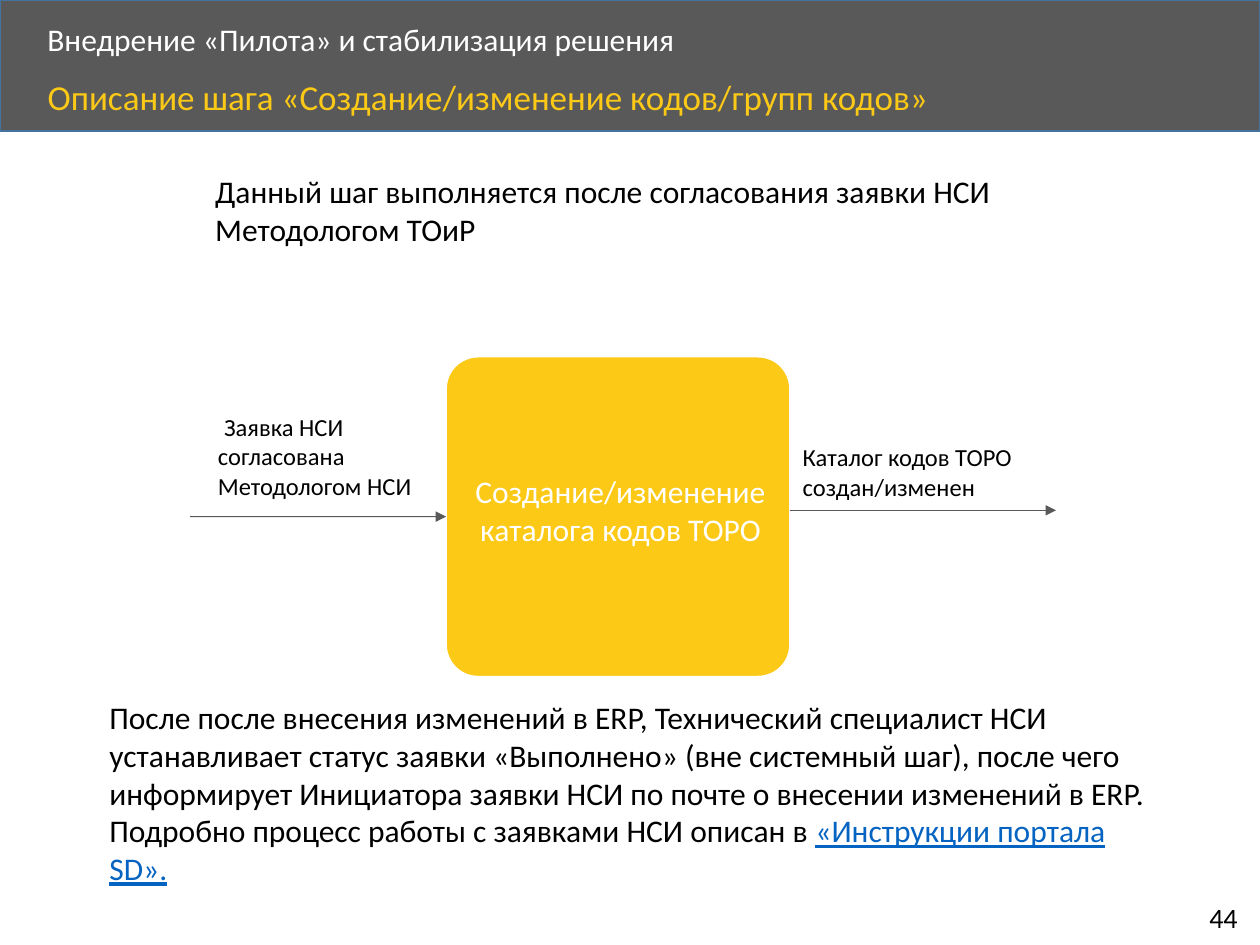
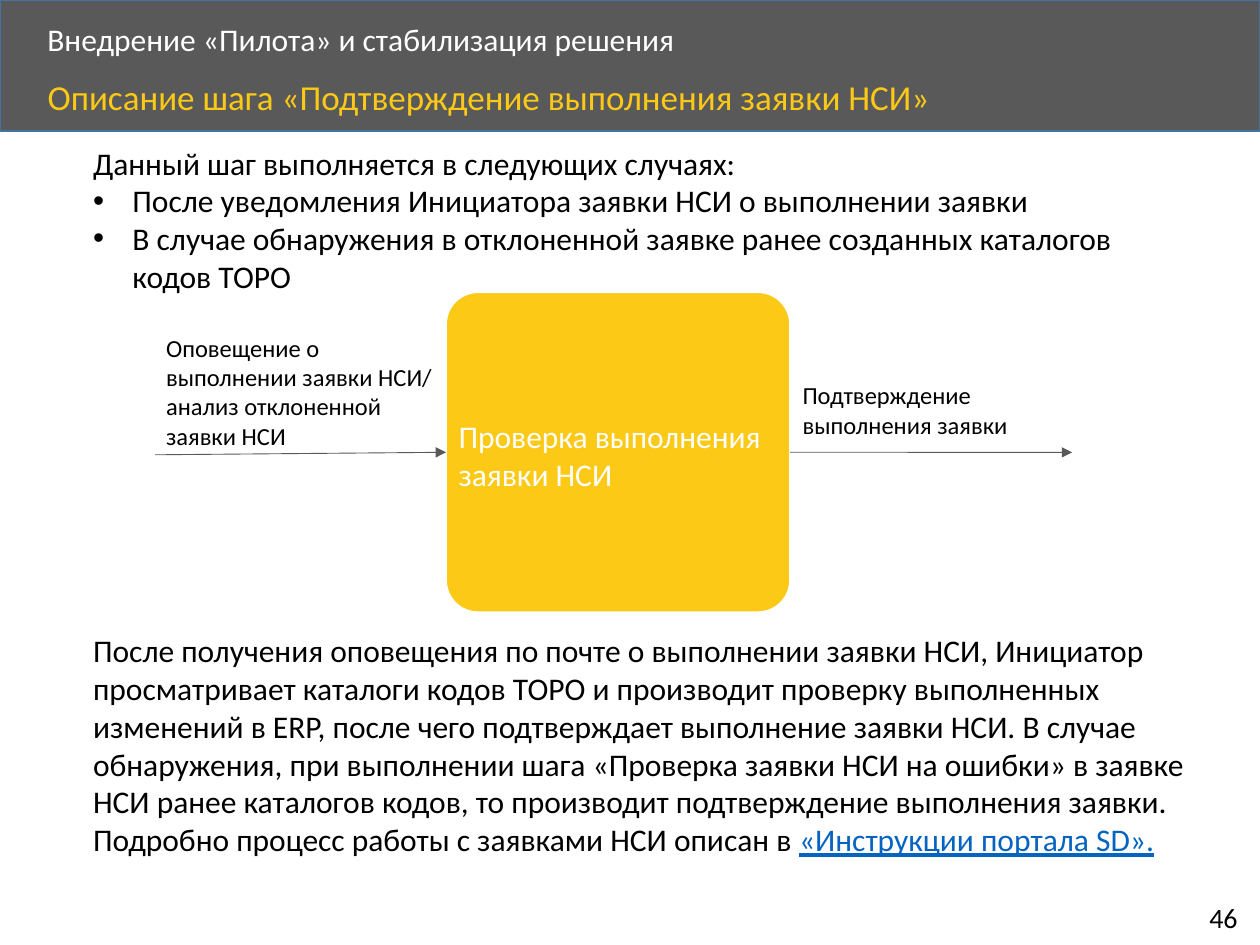
from typing import NamedTuple

import lxml.etree
import pptx
import pptx.dml.color
import pptx.enum.shapes
import pptx.enum.text
import pptx.oxml.ns
import pptx.util

Pt = pptx.util.Pt
qn = pptx.oxml.ns.qn
SHAPE = pptx.enum.shapes.MSO_SHAPE
ANCHOR = pptx.enum.text.MSO_ANCHOR
ALIGN = pptx.enum.text.PP_ALIGN
GROW = pptx.enum.text.MSO_AUTO_SIZE.SHAPE_TO_FIT_TEXT

COLORS = {
    "band": "595959",
    "band_line": "43739E",
    "accent": "FCC917",
    "white": "FFFFFF",
    "text": "000000",
    "link": "0563C1",
}
FONT = "Calibri"
HANGING = 22.5
SECTION = "Внедрение «Пилота» и стабилизация решения"
GUIDE = "«Инструкции портала SD»."
STEP_LEFT, STEP_WIDTH, STEP_HEIGHT = 254.9, 196.6, 182.9
STEP_RIGHT = STEP_LEFT + STEP_WIDTH


class Area(NamedTuple):
    left: float
    top: float
    width: float
    height: float


class Para(NamedTuple):
    text: str
    link: str = ""
    bullet: bool = False
    first_indent: float = 0


class Block(NamedTuple):
    area: Area
    paras: list[Para]
    size: float = 18


class Step(NamedTuple):
    text: str
    top: float
    align: ALIGN
    margins: dict[str, float]


class Arrow(NamedTuple):
    start: tuple[float, float]
    end: tuple[float, float]
    begin_site: int | None = None
    end_site: int | None = None


class Page(NamedTuple):
    title: str
    number: str
    step: Step
    arrows: list[Arrow]
    blocks: list[Block]


PAGES = [
    Page(
        "Описание шага «Создание/изменение кодов/групп кодов»",
        "44",
        Step("Создание/изменение каталога кодов ТОРО", 203.8, ALIGN.CENTER,
             {"left": 3.3, "right": 0.4, "top": 0, "bottom": 8}),
        [
            Arrow((108.7, 295.2), (STEP_LEFT, 295.2), end_site=1),
            Arrow((STEP_RIGHT, 291.6), (603.4, 291.6)),
        ],
        [
            Block(Area(117.4, 231.8, 129.6, 60.5),
                  [Para("Заявка НСИ согласована Методологом НСИ", first_indent=3.6)], 14),
            Block(Area(STEP_RIGHT, 249.1, 157.7, 41),
                  [Para("Каталог кодов ТОРО создан/изменен")], 14),
            Block(Area(115.9, 95, 517, 51.1),
                  [Para("Данный шаг выполняется после согласования заявки НСИ "
                        "Методологом ТОиР")]),
            Block(Area(55.4, 395.3, 612.7, 116.6),
                  [Para("После после внесения изменений в ERP, Технический специалист НСИ "
                        "устанавливает статус заявки «Выполнено» (вне системный шаг), после "
                        "чего информирует Инициатора заявки НСИ по почте о внесении изменений "
                        "в ERP. Подробно процесс работы c заявками НСИ описан в ", GUIDE)]),
        ],
    ),
    Page(
        "Описание шага «Подтверждение выполнения заявки НСИ»",
        "46",
        Step("Проверка выполнения заявки НСИ", 167, ALIGN.LEFT,
             {"left": 1.8, "right": 1.8, "top": 3, "bottom": 0}),
        [
            Arrow((STEP_RIGHT, 258.5), (612.7, 258.5), begin_site=3),
            Arrow((88.6, 259.9), (STEP_LEFT, 258.5), end_site=1),
        ],
        [
            Block(Area(46.1, 78.5, 630, 94.3), [
                Para("Данный шаг выполняется в следующих случаях:"),
                Para("После уведомления Инициатора заявки НСИ о выполнении заявки",
                     bullet=True),
                Para("В случае обнаружения в отклоненной заявке ранее созданных "
                     "каталогов кодов ТОРО", bullet=True),
            ]),
            Block(Area(87.8, 186.5, 166.3, 74.9),
                  [Para("Оповещение о выполнении заявки НСИ/ анализ отклоненной "
                        "заявки НСИ")], 14),
            Block(Area(STEP_RIGHT, 213.8, 135.4, 41),
                  [Para("Подтверждение выполнения заявки")], 14),
            Block(Area(46.1, 357.1, 644.4, 138.2),
                  [Para("После получения оповещения по почте о выполнении заявки НСИ, "
                        "Инициатор просматривает каталоги кодов ТОРО и производит проверку "
                        "выполненных изменений в ERP, после чего подтверждает выполнение "
                        "заявки НСИ. В случае обнаружения, при выполнении шага «Проверка "
                        "заявки НСИ на ошибки» в заявке НСИ ранее каталогов кодов, то "
                        "производит подтверждение выполнения заявки. Подробно процесс работы "
                        "c заявками НСИ описан в ", GUIDE)]),
        ],
    ),
]


def rgb(name: str) -> pptx.dml.color.RGBColor:
    return pptx.dml.color.RGBColor.from_string(COLORS[name])


def assign(target, values: dict) -> None:
    for name, value in values.items():
        setattr(target, name, value)


def add_run(p, text: str, size: float, color: str, underline: bool = False) -> None:
    r = p.add_run()
    r.text = text
    assign(r.font, {"name": FONT, "size": Pt(size), "bold": False})
    if underline:
        r.font.underline = True
    r.font.color.rgb = rgb(color)


def set_indent(p, para: Para) -> None:
    pPr = p._p.get_or_add_pPr()
    if para.bullet:
        pPr.set("marL", str(Pt(HANGING)))
        pPr.set("indent", str(-Pt(HANGING)))
        lxml.etree.SubElement(pPr, qn("a:buFont")).set("typeface", "Arial")
        lxml.etree.SubElement(pPr, qn("a:buChar")).set("char", "•")
    elif para.first_indent:
        pPr.set("indent", str(Pt(para.first_indent)))


def add_text(s, block: Block, color: str = "text", **frame):
    sp = s.shapes.add_textbox(*map(Pt, block.area))
    tf = sp.text_frame
    assign(tf, {"word_wrap": True, "auto_size": GROW} | frame)
    for i, para in enumerate(block.paras):
        p = tf.add_paragraph() if i else tf.paragraphs[0]
        set_indent(p, para)
        add_run(p, para.text, block.size, color)
        if para.link:
            add_run(p, para.link, block.size, "link", underline=True)
    return sp


def add_box(s, kind: SHAPE, area: Area, fill: str, line: str):
    sp = s.shapes.add_shape(kind, *map(Pt, area))
    sp.shadow.inherit = False
    sp.fill.solid()
    sp.fill.fore_color.rgb = rgb(fill)
    sp.line.color.rgb = rgb(line)
    sp.line.width = Pt(1)
    return sp


def add_header(s, page: Page) -> None:
    add_box(s, SHAPE.RECTANGLE, Area(0, 0, 720, 75), "band", "band_line")
    section = add_text(s, Block(Area(20, 10, 581, 27), [Para(SECTION)]), "white",
                       auto_size=None, vertical_anchor=ANCHOR.MIDDLE)
    section.text_frame.paragraphs[0].line_spacing = 0.9
    add_text(s, Block(Area(684, 511, 33, 27), [Para(page.number)], 16), word_wrap=False)

    title = s.shapes.title
    s.shapes._spTree.append(title._element)  # bring the title in front of the band
    assign(title, {"left": Pt(20), "top": Pt(42.5), "width": Pt(624), "height": Pt(32.4)})
    tf = title.text_frame
    assign(tf, {"vertical_anchor": ANCHOR.TOP, "word_wrap": True,
                "auto_size": pptx.enum.text.MSO_AUTO_SIZE.NONE})
    p = tf.paragraphs[0]
    assign(p, {"alignment": ALIGN.LEFT, "line_spacing": 0.9})
    add_run(p, page.title, 20, "accent")


def add_step(s, step: Step):
    area = Area(STEP_LEFT, step.top, STEP_WIDTH, STEP_HEIGHT)
    sp = add_box(s, SHAPE.ROUNDED_RECTANGLE, area, "accent", "white")
    sp.adjustments[0] = 0.1
    tf = sp.text_frame
    assign(tf, {"word_wrap": True, "vertical_anchor": ANCHOR.MIDDLE})
    assign(tf, {f"margin_{side}": Pt(gap) for side, gap in step.margins.items()})
    p = tf.paragraphs[0]
    p.alignment = step.align
    add_run(p, step.text, 18, "white")
    return sp


def add_arrow(s, arrow: Arrow, step) -> None:
    cx = s.shapes.add_connector(pptx.enum.shapes.MSO_CONNECTOR.STRAIGHT,
                                *map(Pt, arrow.start + arrow.end))
    if arrow.begin_site is not None:
        cx.begin_connect(step, arrow.begin_site)
    if arrow.end_site is not None:
        cx.end_connect(step, arrow.end_site)
    cx.line.color.rgb = rgb("band")
    cx.line.width = Pt(0.5)
    lxml.etree.SubElement(cx.line._get_or_add_ln(), qn("a:tailEnd")).set("type", "triangle")
    lxml.etree.SubElement(cx._element.spPr, qn("a:effectLst"))


def add_page(prs, page: Page) -> None:
    s = prs.slides.add_slide(prs.slide_layouts.get_by_name("Title Only"))
    add_header(s, page)
    step = add_step(s, page.step)
    for arrow in page.arrows:
        add_arrow(s, arrow, step)
    for block in page.blocks:
        add_text(s, block)


def main() -> None:
    prs = pptx.Presentation()
    assign(prs, {"slide_width": Pt(720), "slide_height": Pt(540)})
    for page in PAGES:
        add_page(prs, page)
    prs.save("out.pptx")


if __name__ == "__main__":
    main()
